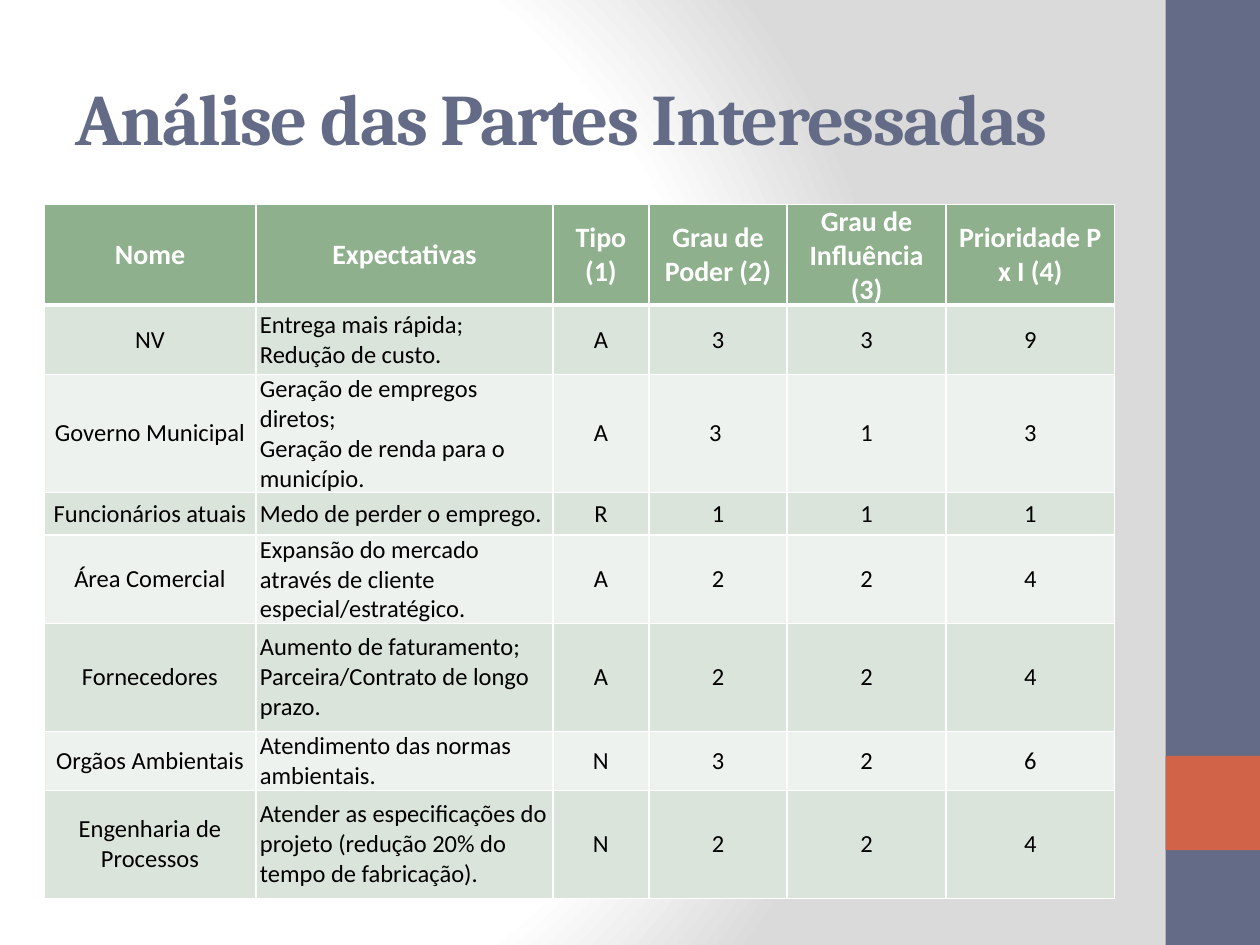
from lxml import etree
from pptx import Presentation
from pptx.dml.color import RGBColor
from pptx.enum.shapes import MSO_SHAPE
from pptx.enum.text import MSO_ANCHOR, PP_ALIGN
from pptx.oxml import parse_xml
from pptx.oxml.ns import nsdecls, qn
from pptx.util import Cm, Pt

TITLE = "Análise das Partes Interessadas"
HEADINGS = ("Nome", "Expectativas", "Tipo (1)", "Grau de Poder (2)",
            "Grau de Influência (3)", "Prioridade P x I (4)")
STAKEHOLDERS = [
    ("NV", "Entrega mais rápida;\nRedução de custo.", "A", "3", "3", "9"),
    ("Governo Municipal",
     "Geração de empregos diretos;\nGeração de renda para o município.",
     "A", "3 ", "1", "3"),
    ("Funcionários atuais", "Medo de perder o emprego.", "R", "1", "1", "1"),
    ("Área Comercial",
     "Expansão do mercado através de cliente especial/estratégico.",
     "A", "2", "2", "4"),
    ("Fornecedores",
     "Aumento de faturamento;\nParceira/Contrato de longo prazo.",
     "A", "2", "2", "4"),
    ("Orgãos Ambientais", "Atendimento das normas ambientais.",
     "N", "3", "2", "6"),
    ("Engenharia de Processos",
     "Atender as especificações do projeto (redução 20% do tempo de fabricação).",
     "N", "2", "2", "4"),
]
COLUMN_WIDTHS = (4.27, 5.99, 1.93, 2.79, 3.2, 3.4)
ROW_HEIGHTS = (1.6, 1.4, 2.18, 0.86, 1.75, 2.18, 0.89, 2.18)
EXPECTATIONS_COLUMN = 1

SLATE, ORANGE, GREEN = "646B86", "D16349", "8FB08C"
BANDS = ("EEF2EE", "DBE4DA")
WHITE, BLACK, GREY = "FFFFFF", "000000", "DADADA"
SLIDE_WIDTH, SLIDE_HEIGHT = 25.4, 19.05
STRIPE_LEFT, STRIPE_WIDTH = 23.5, 1.9


def rgb(color):
    return RGBColor.from_string(color)


def set_background(slide):
    """Radial gradient, white on the left and grey on the right."""
    slide.background.fill.solid()
    properties = slide.background._cSld.bg.bgPr
    stops = "".join(
        f'<a:gs pos="{percent * 1000}"><a:srgbClr val="{color}"/></a:gs>'
        for percent, color in ((0, WHITE), (75, WHITE), (100, GREY)))
    properties.replace(properties[0], parse_xml(
        f'<a:gradFill {nsdecls("a")} rotWithShape="1"><a:gsLst>{stops}</a:gsLst>'
        '<a:path path="circle"><a:fillToRect l="20000" t="50000" '
        'r="100000" b="50000"/></a:path></a:gradFill>'))


def add_block(slide, top, height, color):
    block = slide.shapes.add_shape(MSO_SHAPE.RECTANGLE, Cm(STRIPE_LEFT), Cm(top),
                                   Cm(STRIPE_WIDTH), Cm(height))
    block.shadow.inherit = False
    block.fill.solid()
    block.fill.fore_color.rgb = rgb(color)
    block.line.fill.background()


def format_runs(paragraph, font_name, size, color, bold):
    for run in paragraph.runs:
        run.font.name = font_name
        run.font.size = Pt(size)
        run.font.color.rgb = rgb(color)
        run.font.bold = bold


def add_title(slide):
    title = slide.shapes.add_textbox(Cm(1.27), Cm(0.76), Cm(21.16), Cm(3.18))
    frame = title.text_frame
    frame.word_wrap = True
    frame.vertical_anchor = MSO_ANCHOR.MIDDLE
    frame.text = TITLE
    format_runs(frame.paragraphs[0], "Cambria", 41.4, SLATE, True)
    frame.paragraphs[0].runs[0].font._element.set("spc", "-100")


def set_borders(cell, bottom_width):
    properties = cell._tc.get_or_add_tcPr()
    widths = {"lnL": 1, "lnR": 1, "lnT": 1, "lnB": bottom_width}
    for position, (side, width) in enumerate(widths.items()):
        border = etree.Element(qn(f"a:{side}"), w=str(Pt(width)))
        fill = etree.SubElement(border, qn("a:solidFill"))
        etree.SubElement(fill, qn("a:srgbClr"), val=WHITE)
        properties.insert(position, border)


def fill_cell(cell, text, row, column):
    heading = row == 0
    cell.vertical_anchor = MSO_ANCHOR.MIDDLE
    cell.margin_left = cell.margin_right = Cm(0.08)
    cell.margin_top = cell.margin_bottom = Cm(0)
    cell.fill.solid()
    cell.fill.fore_color.rgb = rgb(GREEN if heading else BANDS[row % 2])
    set_borders(cell, 3 if heading else 1)
    paragraph = cell.text_frame.paragraphs[0]
    paragraph.text = text
    paragraph.space_before = Pt(12)
    if heading or column != EXPECTATIONS_COLUMN:
        paragraph.alignment = PP_ALIGN.CENTER
    format_runs(paragraph, "Calibri", 16 if heading else 14,
                WHITE if heading else BLACK, heading)


def add_stakeholder_table(slide):
    rows = [HEADINGS, *STAKEHOLDERS]
    table = slide.shapes.add_table(
        len(rows), len(HEADINGS), Cm(0.89), Cm(4.12),
        Cm(sum(COLUMN_WIDTHS)), Cm(sum(ROW_HEIGHTS))).table
    table.horz_banding = False
    for column, width in zip(table.columns, COLUMN_WIDTHS):
        column.width = Cm(width)
    for row, height in zip(table.rows, ROW_HEIGHTS):
        row.height = Cm(height)
    for row, texts in enumerate(rows):
        for column, text in enumerate(texts):
            fill_cell(table.cell(row, column), text, row, column)


def main():
    presentation = Presentation()
    presentation.slide_width = Cm(SLIDE_WIDTH)
    presentation.slide_height = Cm(SLIDE_HEIGHT)
    slide = presentation.slides.add_slide(presentation.slide_layouts[6])
    set_background(slide)
    add_block(slide, 0, SLIDE_HEIGHT, SLATE)
    add_block(slide, 15.24, STRIPE_WIDTH, ORANGE)
    add_title(slide)
    add_stakeholder_table(slide)
    presentation.save("out.pptx")


if __name__ == "__main__":
    main()
